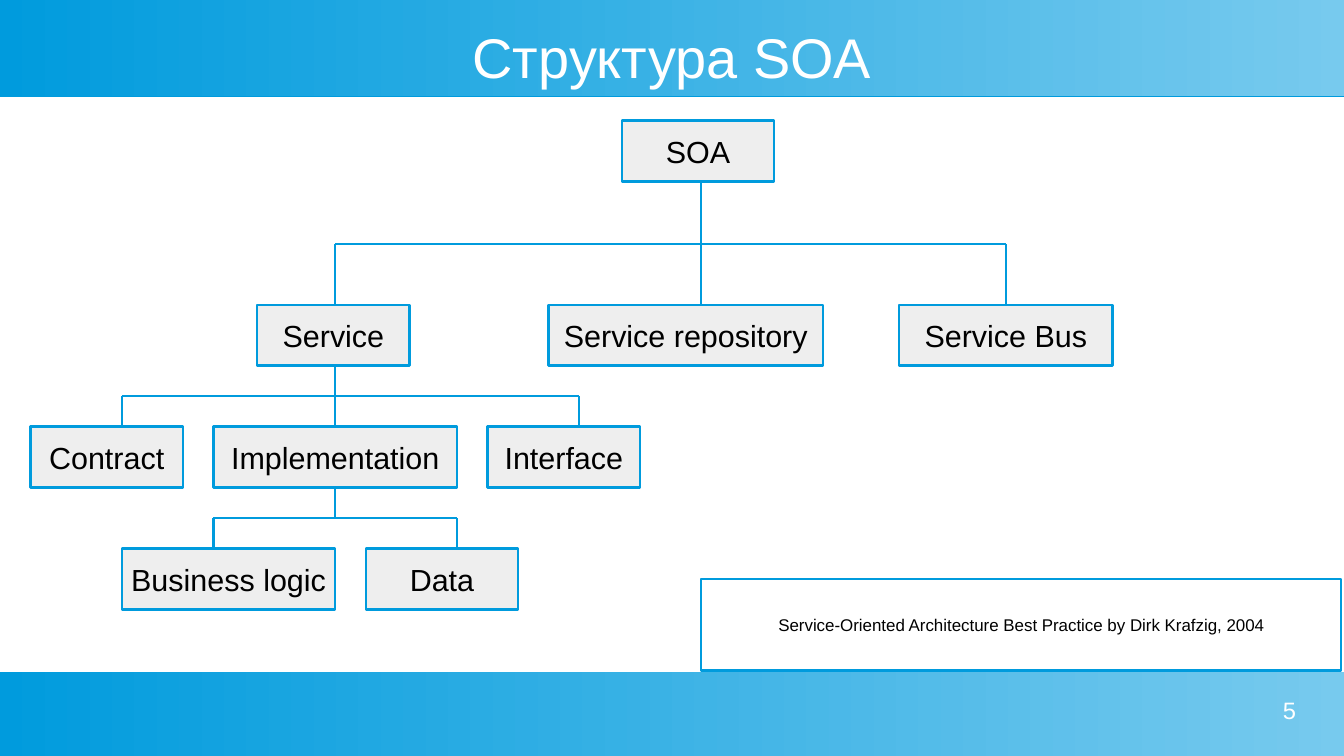
from dataclasses import dataclass

from lxml.etree import SubElement
from pptx import Presentation
from pptx.dml.color import RGBColor as RGB
from pptx.enum.shapes import MSO_CONNECTOR as Link, MSO_SHAPE as Kind
from pptx.enum.text import MSO_ANCHOR as Anchor, PP_ALIGN as Align
from pptx.oxml.ns import qn
from pptx.shapes.autoshape import Shape
from pptx.slide import Slide
from pptx.text.text import TextFrame
from pptx.util import Cm, Length, Pt


@dataclass(frozen=True)
class Theme:
    font: str = "Arial"
    blue: str = "009BDD"
    sky: str = "77CAEE"
    grey: str = "EEEEEE"
    white: str = "FFFFFF"
    black: str = "000000"
    title: float = 33
    label: float = 18
    page: float = 14
    source: float = 10
    line: float = 1.42


@dataclass(frozen=True)
class Node:
    """A labelled box, measured in grid steps."""
    text: str
    left: float
    top: float
    width: float
    height: float = 2
    fill: str = "EEEEEE"
    size: float = 18


@dataclass(frozen=True)
class Fork:
    """A stem, a bar halfway down and drops to the children."""
    stem: float
    top: float
    base: float
    drops: tuple[float, ...]


LOOK = Theme()
STEP = 2.54 / 4
WIDE, HIGH = Cm(28), Cm(15.75)

NODES = [
    Node("SOA", 20.4, 3.96, 5),
    Node("Service", 8.44, 10, 5),
    Node("Service repository", 18, 10, 9),
    Node("Service Bus", 29.5, 10, 7),
    Node("Contract", 1, 14, 5),
    Node("Implementation", 7, 14, 8),
    Node("Interface", 16, 14, 5),
    Node("Business logic", 4, 18, 7),
    Node("Data", 12, 18, 5),
    Node("Service-Oriented Architecture Best Practice by Dirk Krafzig, 2004",
         23, 19, 21, 3, LOOK.white, LOOK.source),
]
FORKS = [
    Fork(23, 6, 10, (11, 23, 33)),
    Fork(11, 12, 14, (4, 11, 19)),
    Fork(11, 16, 18, (7, 15)),
]


def grid(steps: float) -> Length:
    return Cm(steps * STEP)


def write(frame: TextFrame, text: str, size: float, color: str, align: Align) -> None:
    frame.text = text
    para = frame.paragraphs[0]
    para.alignment = align
    para.font.name = LOOK.font
    para.font.size = Pt(size)
    para.font.color.rgb = RGB.from_string(color)


def trim(frame: TextFrame) -> None:
    frame.margin_left = frame.margin_right = 0
    frame.margin_top = frame.margin_bottom = 0
    frame.word_wrap = True


def add_band(slide: Slide, top: Length, height: Length) -> Shape:
    band = slide.shapes.add_shape(Kind.RECTANGLE, 0, top, WIDE, height)
    band.line.fill.background()
    band.fill.gradient()
    band.fill.gradient_angle = 0
    for stop, color in zip(band.fill.gradient_stops, (LOOK.blue, LOOK.sky)):
        stop.color.rgb = RGB.from_string(color)
    # Thin shadow below the band
    list_ = SubElement(band.element.spPr, qn("a:effectLst"))
    cast = SubElement(list_, qn("a:outerShdw"), blurRad="0", dist=str(Pt(0.9)),
                      dir="5400000", rotWithShape="0")
    SubElement(cast, qn("a:srgbClr"), val=LOOK.blue)
    return band


def add_node(slide: Slide, node: Node) -> None:
    box = slide.shapes.add_shape(Kind.RECTANGLE, grid(node.left), grid(node.top),
                                 grid(node.width), grid(node.height))
    box.shadow.inherit = False
    box.fill.solid()
    box.fill.fore_color.rgb = RGB.from_string(node.fill)
    box.line.color.rgb = RGB.from_string(LOOK.blue)
    box.line.width = Pt(LOOK.line)
    frame = box.text_frame
    frame.word_wrap = False
    frame.vertical_anchor = Anchor.MIDDLE
    write(frame, node.text, node.size, LOOK.black, Align.CENTER)


def add_line(slide: Slide, x1: float, y1: float, x2: float, y2: float) -> None:
    line = slide.shapes.add_connector(Link.STRAIGHT, grid(x1), grid(y1),
                                      grid(x2), grid(y2))
    line.line.color.rgb = RGB.from_string(LOOK.blue)
    line.line.width = Pt(LOOK.line)
    SubElement(line.element.spPr, qn("a:effectLst"))


def add_fork(slide: Slide, fork: Fork) -> None:
    bar = (fork.top + fork.base) / 2
    add_line(slide, fork.stem, fork.top, fork.stem, bar)
    add_line(slide, fork.drops[0], bar, fork.drops[-1], bar)
    for drop in fork.drops:
        add_line(slide, drop, bar, drop, fork.base)


def main() -> None:
    deck = Presentation()
    deck.slide_width, deck.slide_height = WIDE, HIGH
    slide = deck.slides.add_slide(deck.slide_layouts[5])

    # Title
    title = slide.shapes.title
    title.left, title.top, title.width, title.height = Cm(1), Cm(0.5), Cm(26), Cm(1.33)
    trim(title.text_frame)
    title.text_frame.vertical_anchor = Anchor.MIDDLE
    write(title.text_frame, "Структура SOA", LOOK.title, LOOK.white, Align.CENTER)

    # Bands behind the title
    for top, height in ((Cm(0), Cm(2)), (Cm(14), Cm(1.75))):
        title.element.addprevious(add_band(slide, top, height).element)

    # Tree and source
    for fork in FORKS:
        add_fork(slide, fork)
    for node in NODES:
        add_node(slide, node)

    # Page number
    page = slide.shapes.add_textbox(Cm(20.5), Cm(14.5), Cm(6.5), Cm(1))
    trim(page.text_frame)
    write(page.text_frame, "5", LOOK.page, LOOK.white, Align.RIGHT)

    deck.save("out.pptx")


if __name__ == "__main__":
    main()
